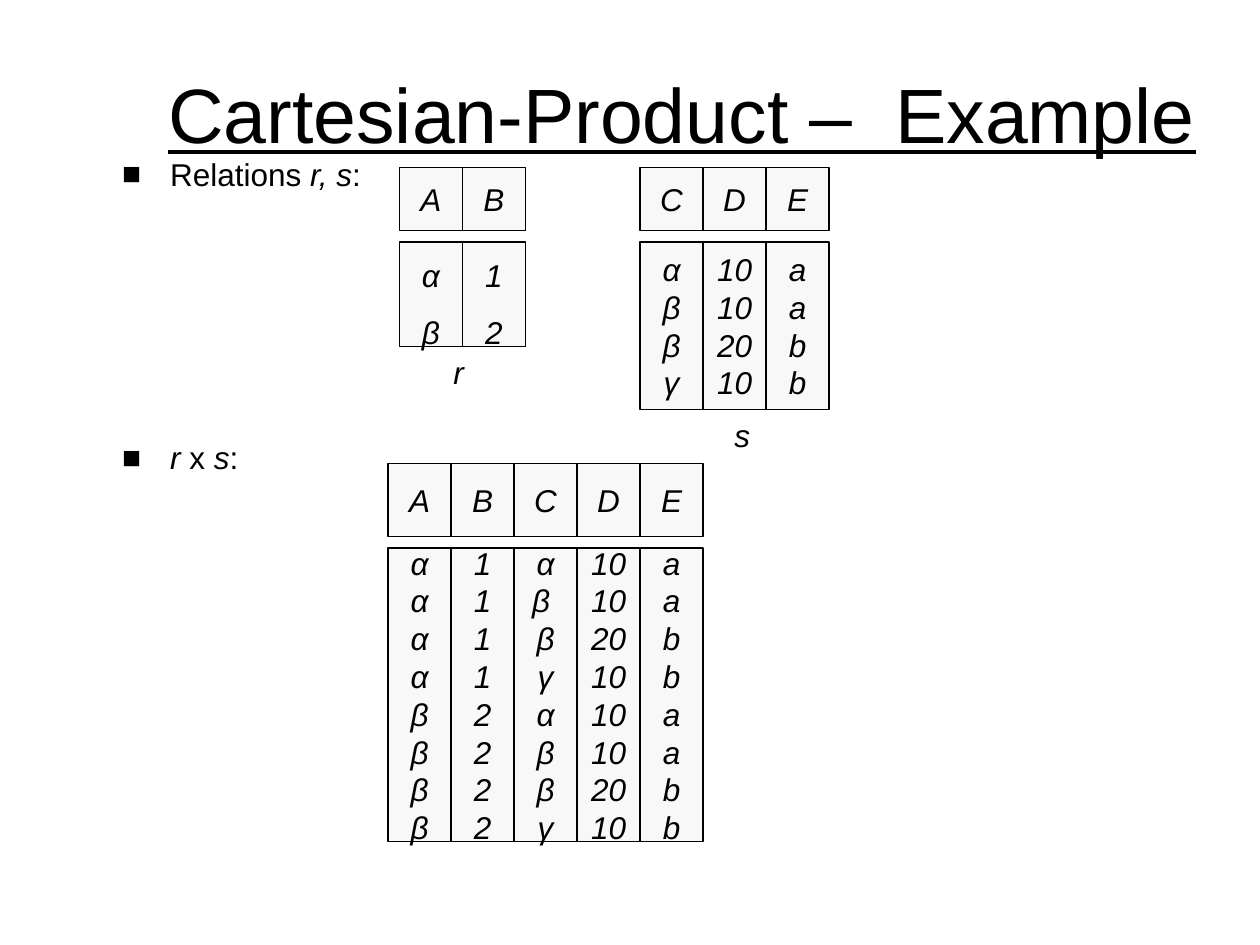
from dataclasses import dataclass
from itertools import product

from lxml import etree
from pptx import Presentation
from pptx.dml.color import RGBColor
from pptx.enum.shapes import MSO_SHAPE
from pptx.enum.text import MSO_ANCHOR, MSO_AUTO_SIZE, PP_ALIGN
from pptx.oxml.ns import qn
from pptx.util import Inches, Pt

RECTANGLE = MSO_SHAPE.RECTANGLE
MIDDLE, TOP = MSO_ANCHOR.MIDDLE, MSO_ANCHOR.TOP
CENTER, LEFT = PP_ALIGN.CENTER, PP_ALIGN.LEFT
NO_AUTOFIT = MSO_AUTO_SIZE.NONE

COLORS = {"text": "000000", "line": "000000", "cell": "F8F8F8"}
FONT = "Arial"
COLUMN_WIDTH = 0.5
BULLET_INDENT = 0.38


@dataclass
class Relation:
    left: float
    header_top: float
    header_height: float
    body_top: float
    body_height: float
    attributes: str
    rows: list[tuple[str, ...]]
    line_spacing: float = 1.0


@dataclass
class Label:
    text: str
    left: float
    top: float
    width: float


def color(name: str) -> RGBColor:
    return RGBColor.from_string(COLORS[name])


def style_font(font, size: float = 18, italic: bool = False) -> None:
    font.name = FONT
    font.size = Pt(size)
    font.italic = italic
    font.color.rgb = color("text")


def place(shape, left: float, top: float, width: float, height: float) -> None:
    shape.left, shape.top = Inches(left), Inches(top)
    shape.width, shape.height = Inches(width), Inches(height)


def write_centered(frame, lines: list[str], spacing: float = 1.0) -> None:
    frame.word_wrap = False
    frame.vertical_anchor = MIDDLE
    frame.text = "\n".join(lines)
    for paragraph in frame.paragraphs:
        paragraph.alignment = CENTER
        paragraph.line_spacing = spacing
        for run in paragraph.runs:
            style_font(run.font, italic=True)


def add_column(slide, left: float, top: float, height: float,
               lines: list[str], spacing: float = 1.0) -> None:
    box = slide.shapes.add_shape(RECTANGLE, Inches(left), Inches(top),
                                 Inches(COLUMN_WIDTH), Inches(height))
    box.shadow.inherit = False
    box.fill.solid()
    box.fill.fore_color.rgb = color("cell")
    box.line.color.rgb = color("line")
    box.line.width = Pt(0.75)
    write_centered(box.text_frame, lines, spacing)


def add_relation(slide, relation: Relation) -> None:
    columns = zip(relation.attributes, zip(*relation.rows))
    for index, (attribute, values) in enumerate(columns):
        left = relation.left + index * COLUMN_WIDTH
        add_column(slide, left, relation.header_top, relation.header_height, [attribute])
        add_column(slide, left, relation.body_top, relation.body_height,
                   list(values), relation.line_spacing)


def add_label(slide, label: Label) -> None:
    box = slide.shapes.add_textbox(Inches(label.left), Inches(label.top),
                                   Inches(label.width), Inches(0.4))
    write_centered(box.text_frame, [label.text])


def fill_bullet(placeholder, top: float, parts: list[tuple[str, bool]]) -> None:
    place(placeholder, 0.87, top, 7.69, 0.36)
    frame = placeholder.text_frame
    frame.auto_size = NO_AUTOFIT
    frame.vertical_anchor = TOP
    paragraph = frame.paragraphs[0]
    paragraph.alignment = LEFT
    paragraph.space_before = Pt(0)
    properties = paragraph._p.get_or_add_pPr()
    properties.set("marL", str(Inches(BULLET_INDENT)))
    properties.set("indent", str(-Inches(BULLET_INDENT)))
    bullet_color = etree.SubElement(properties, qn("a:buClr"))
    etree.SubElement(bullet_color, qn("a:srgbClr"), val=COLORS["text"])
    etree.SubElement(properties, qn("a:buFont"), typeface=FONT)
    etree.SubElement(properties, qn("a:buChar"), char="■")
    for text, italic in parts:
        run = paragraph.add_run()
        run.text = text
        style_font(run.font, italic=italic)


def fill_title(title) -> None:
    place(title, 1, 0.62, 8.83, 0.55)
    frame = title.text_frame
    frame.auto_size = NO_AUTOFIT
    frame.vertical_anchor = MIDDLE
    frame.text = "Cartesian-Product –  Example"
    paragraph = frame.paragraphs[0]
    paragraph.alignment = CENTER
    heading = paragraph.runs[0]
    style_font(heading.font, 44)
    heading.font.underline = True


def main() -> None:
    presentation = Presentation()
    presentation.slide_width, presentation.slide_height = Inches(10), Inches(7.5)
    slide = presentation.slides.add_slide(presentation.slide_layouts[3])

    # Title and bullets
    fill_title(slide.shapes.title)
    fill_bullet(slide.placeholders[1], 1.18,
                [("Relations ", False), ("r, s", True), (":", False)])
    fill_bullet(slide.placeholders[2], 3.43,
                [("r", True), (" x ", False), ("s", True), (":", False)])

    # Rows of r, s and their product
    r_rows = [("α", "1"), ("β", "2")]
    s_rows = [("α", "10", "a"), ("β", "10", "a"), ("β", "20", "b"), ("γ", "10", "b")]
    product_rows = [r_row + s_row for r_row, s_row in product(r_rows, s_rows)]
    product_rows[1] = ("α", "1", "β ", "10", "a")

    # Relations
    for relation in (
        Relation(3.17, 1.33, 0.5, 1.92, 0.83, "AB", r_rows, line_spacing=1.5),
        Relation(3.08, 3.68, 0.58, 4.35, 2.33, "ABCDE", product_rows),
        Relation(5.08, 1.33, 0.5, 1.92, 1.33, "CDE", s_rows),
    ):
        add_relation(slide, relation)

    # Relation names
    for label in (Label("r", 3.5, 2.75, 0.28), Label("s", 5.73, 3.25, 0.32)):
        add_label(slide, label)

    presentation.save("out.pptx")


if __name__ == "__main__":
    main()
